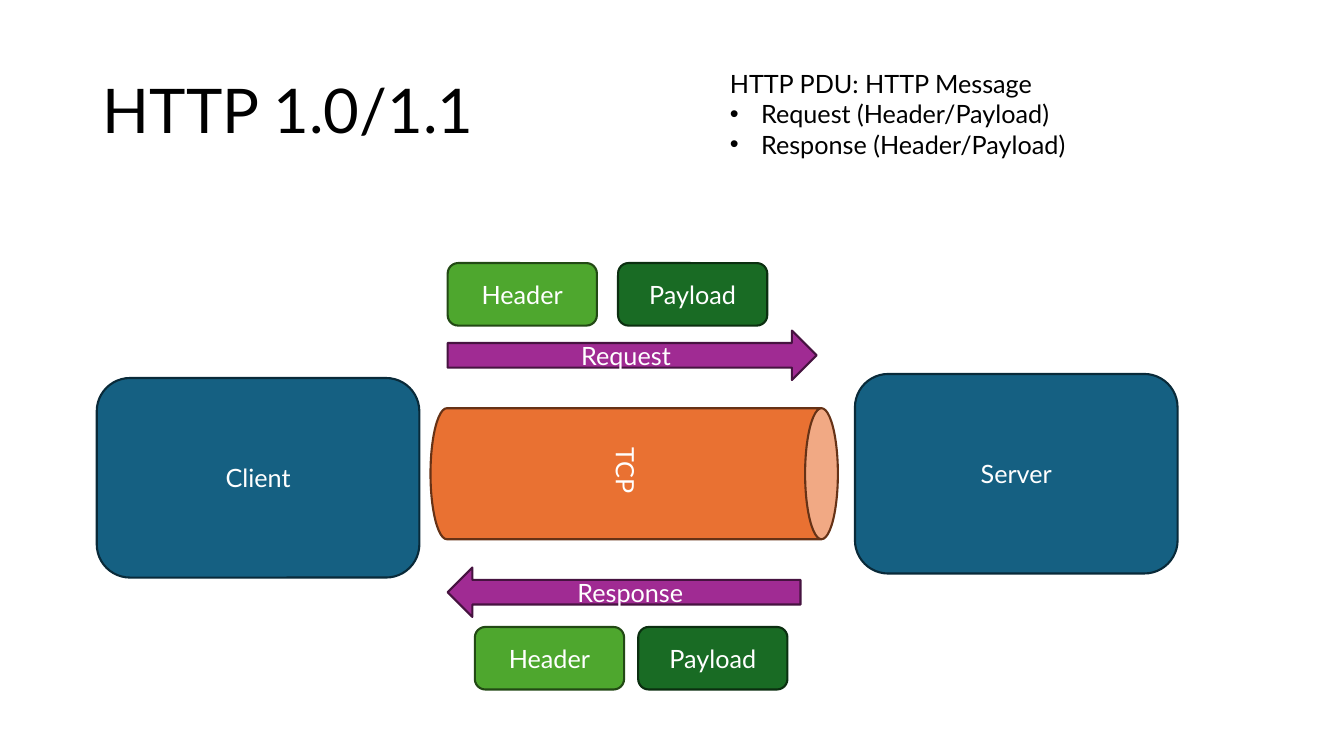
from lxml import etree
from pptx import Presentation
from pptx.dml.color import RGBColor as RGB
from pptx.enum.shapes import MSO_SHAPE as SHAPE
from pptx.enum.text import MSO_ANCHOR as ANCHOR, MSO_AUTO_SIZE as FIT, PP_ALIGN as ALIGN
from pptx.oxml.ns import qn
from pptx.util import Inches, Pt

COLORS = {
    "text": "000000", "label": "FFFFFF",
    "host": "156082", "host_line": "092A39",
    "pipe": "E97132", "pipe_line": "663216",
    "arrow": "A02B93", "arrow_line": "461340",
    "header": "4EA72E", "header_line": "224914",
    "payload": "196B24", "payload_line": "0B2F10",
}


def style(par, size, color):
    for run in par.runs:
        run.font.name = "Lato"
        run.font.size = Pt(size)
        run.font.color.rgb = RGB.from_string(COLORS[color])


def add_box(kind, text, role, left, top, width, height):
    """Add a filled, outlined shape with a centred label."""
    box = slide.shapes.add_shape(
        kind, Inches(left), Inches(top), Inches(width), Inches(height))
    box.shadow.inherit = False
    box.fill.solid()
    box.fill.fore_color.rgb = RGB.from_string(COLORS[role])
    box.line.color.rgb = RGB.from_string(COLORS[role + "_line"])
    box.line.width = Pt(1.5)
    frame = box.text_frame
    frame.text = text
    frame.word_wrap = True
    frame.vertical_anchor = ANCHOR.MIDDLE
    par = frame.paragraphs[0]
    par.alignment = ALIGN.CENTER
    style(par, 18, "label")
    return box


prs = Presentation()
prs.slide_width = Inches(13.33)
prs.slide_height = Inches(7.5)
slide = prs.slides.add_slide(prs.slide_layouts[5])

# Title
title = slide.shapes.title
title.left, title.top = Inches(0.92), Inches(0.4)
title.width, title.height = Inches(11.5), Inches(1.45)
title.text_frame.text = "HTTP 1.0/1.1"
title.text_frame.vertical_anchor = ANCHOR.MIDDLE
par = title.text_frame.paragraphs[0]
par.alignment = ALIGN.LEFT
par.line_spacing = 0.9
style(par, 44, "text")

# Hosts and the connection between them
for name, left, top in [("Client", 0.96, 3.75), ("Server", 8.48, 3.71)]:
    add_box(SHAPE.ROUNDED_RECTANGLE, name, "host", left, top, 3.2, 1.98)
pipe = add_box(SHAPE.CAN, "TCP ", "pipe", 5.64, 2.68, 1.3, 4.04)
pipe.rotation = 90

# Message directions
add_box(SHAPE.RIGHT_ARROW, "Request", "arrow", 4.44, 3.28, 3.66, 0.49)
add_box(SHAPE.LEFT_ARROW, "Response", "arrow", 4.44, 5.63, 3.5, 0.49)

# Notes on the message format
notes = slide.shapes.add_textbox(Inches(7.14), Inches(0.63), Inches(4.57), Inches(1.31))
frame = notes.text_frame
frame.word_wrap = True
frame.auto_size = FIT.SHAPE_TO_FIT_TEXT
frame.text = "HTTP PDU: HTTP Message\nRequest (Header/Payload)\nResponse (Header/Payload)"
for par in frame.paragraphs:
    style(par, 18, "text")
for par in frame.paragraphs[1:]:
    props = par._p.get_or_add_pPr()
    props.set("marL", str(Inches(0.31)))
    props.set("indent", str(-Inches(0.31)))
    etree.SubElement(props, qn("a:buFont")).set("typeface", "Arial")
    etree.SubElement(props, qn("a:buChar")).set("char", "•")

# Parts of each message
for top, head, body in [(2.61, 4.44, 6.13), (6.22, 4.71, 6.33)]:
    for name, left in [("Header", head), ("Payload", body)]:
        add_box(SHAPE.ROUNDED_RECTANGLE, name, name.lower(), left, top, 1.48, 0.62)

prs.save("out.pptx")
